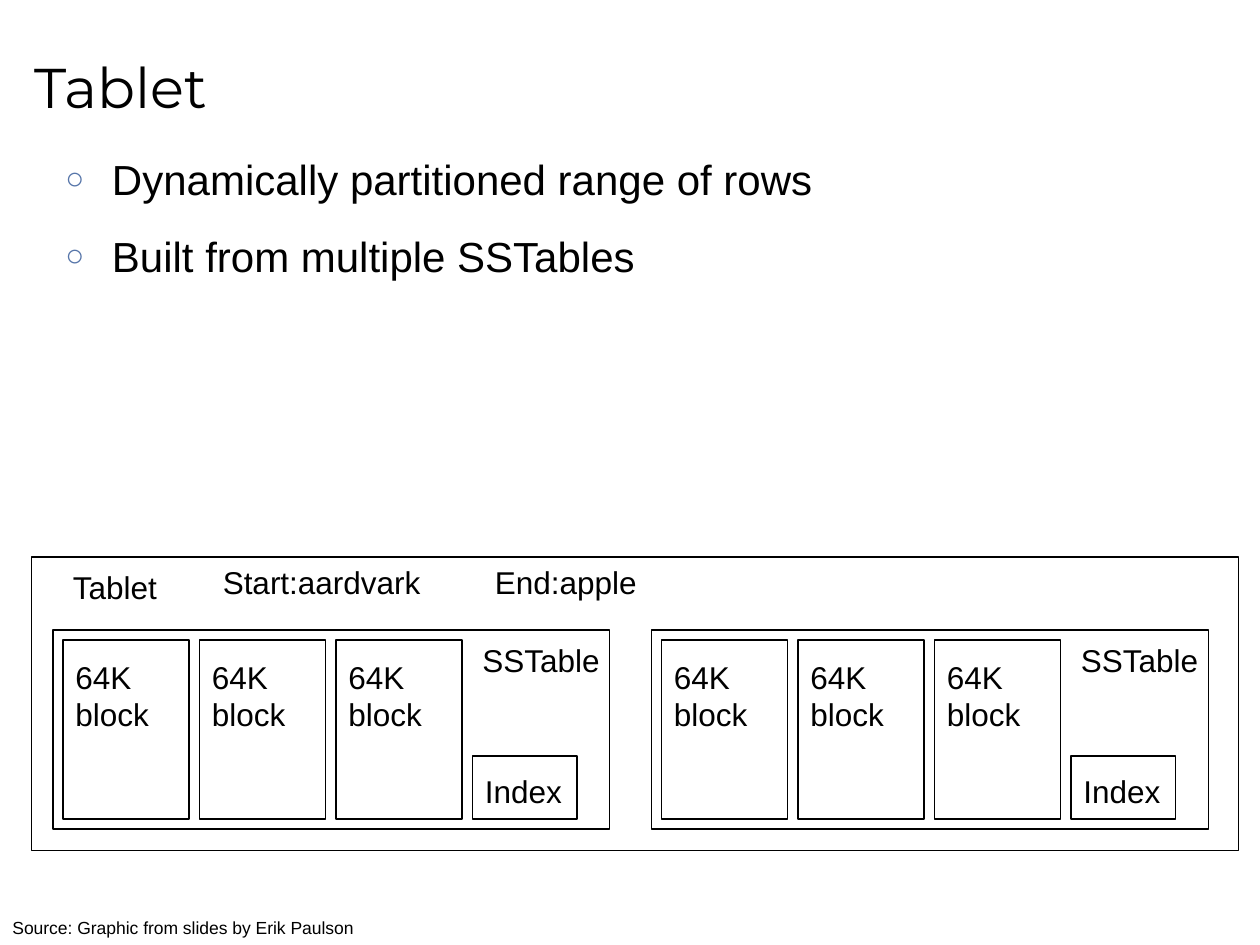
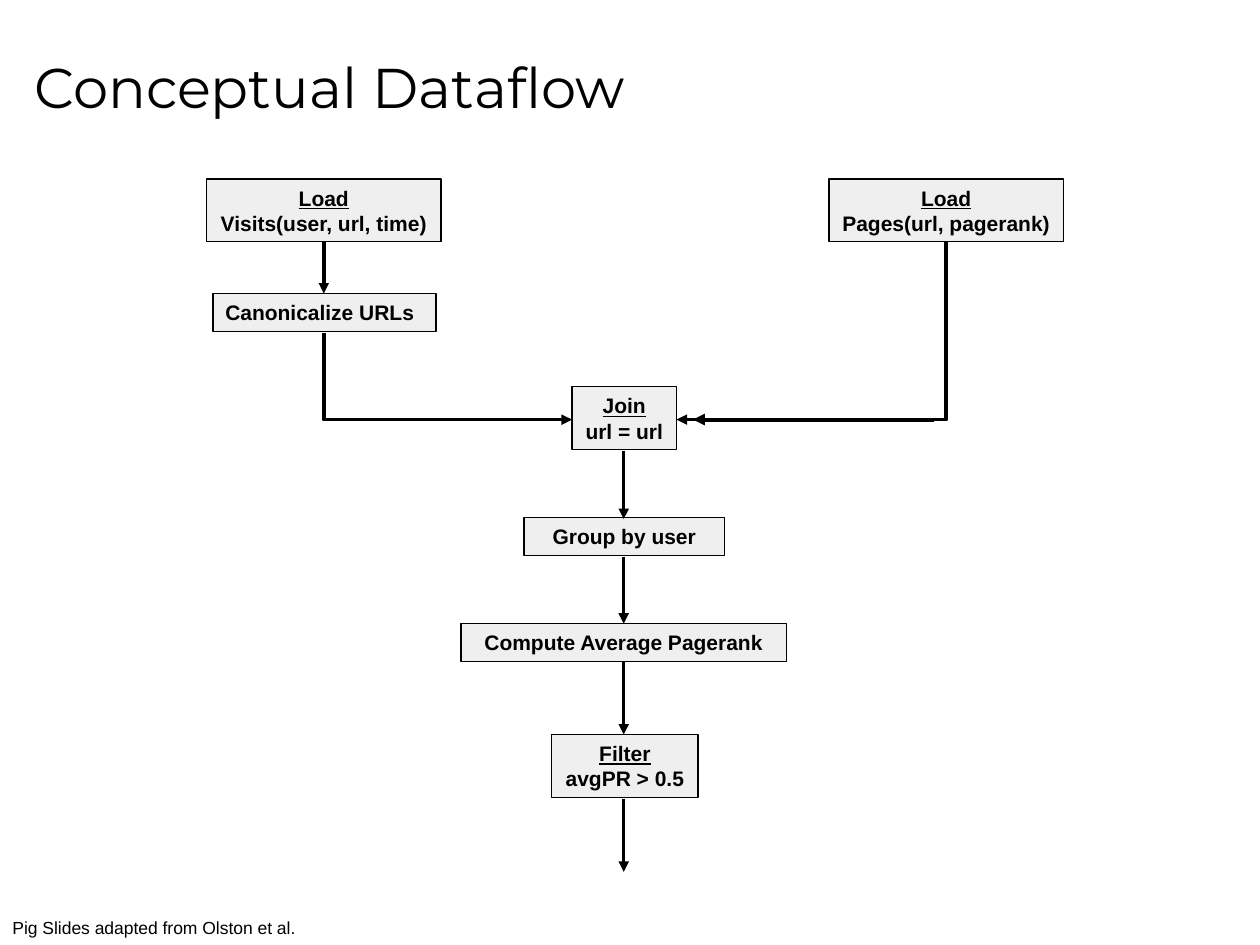
from lxml.etree import SubElement
from pptx import Presentation
from pptx.dml.color import RGBColor
from pptx.enum.shapes import MSO_CONNECTOR as Wire, MSO_SHAPE as Form
from pptx.enum.text import MSO_ANCHOR as Anchor, MSO_AUTO_SIZE as Fit, PP_ALIGN as Align
from pptx.oxml.ns import qn
from pptx.util import Inches, Pt

BLACK = "000000"
GREY = "EFEFEF"
BLUE = "5675A9"
BODY = "Arial"
HEAD = "Montserrat"
STEP = 13 / 12
AXIS = 4.95


def tint(code):
    return RGBColor.from_string(code)


def spot(*sides):
    return [Inches(side) for side in sides]


def write(para, text, size, face=BODY, bold=False, under=False):
    run = para.add_run()
    run.text = text
    font = run.font
    font.name, font.size = face, Pt(size)
    font.bold, font.underline = bold, under
    font.color.rgb = tint(BLACK)


def start(deck, title, source):
    slide = deck.slides.add_slide(deck.slide_layouts[5])
    head = slide.shapes.title
    head.left, head.top, head.width, head.height = spot(0.17, 0.12, 9.5, 1.12)
    frame = head.text_frame
    frame.auto_size = Fit.NONE
    frame.vertical_anchor = Anchor.MIDDLE
    para = frame.paragraphs[0]
    para.alignment = Align.LEFT
    write(para, title, 32, HEAD)
    label(slide, source, 0, 7.23, 3.75, 0.27, size=10)
    return slide


def label(slide, text, left, top, width, height=0.4, size=18, wrap=True):
    box = slide.shapes.add_textbox(*spot(left, top, width, height))
    frame = box.text_frame
    frame.word_wrap = wrap
    frame.auto_size = Fit.SHAPE_TO_FIT_TEXT
    write(frame.paragraphs[0], text, size)


def frame_box(slide, left, top, width, height, fill=None):
    box = slide.shapes.add_shape(Form.RECTANGLE, *spot(left, top, width, height))
    box.shadow.inherit = False
    if fill:
        box.fill.solid()
        box.fill.fore_color.rgb = tint(fill)
    else:
        box.fill.background()
    box.line.color.rgb = tint(BLACK)
    box.line.width = Pt(0.75)
    return box


def points(slide, lines):
    box = slide.shapes.add_textbox(*spot(0.42, 1.17, 9.25, 5.58))
    frame = box.text_frame
    frame.word_wrap = True
    for rank, line in enumerate(lines):
        para = frame.add_paragraph() if rank else frame.paragraphs[0]
        para.space_before = Pt(7.5 if rank else 0)
        para.space_after = Pt(7.5)
        props = para._p.get_or_add_pPr()
        props.set("marL", str(Inches(0.37)))
        props.set("indent", str(-Inches(0.37)))
        shade = SubElement(props, qn("a:buClr"))
        SubElement(shade, qn("a:srgbClr"), val=BLUE)
        SubElement(props, qn("a:buSzPct"), val="75000")
        SubElement(props, qn("a:buFont"), typeface=BODY)
        SubElement(props, qn("a:buChar"), char="○")
        write(para, line, 24)


def sstable(slide, left):
    top = 5.08
    for rank in range(3):
        edge = left + 0.08 + rank * STEP
        frame_box(slide, edge, top, 1, 1.42)
        label(slide, "64K block", edge, 5.17, 0.92, 0.7)
    edge = left + 0.08 + 3 * STEP
    frame_box(slide, edge, 6, 0.83, 0.5)
    label(slide, "Index", edge, 6.08, 0.81, wrap=False)
    label(slide, "SSTable", edge - 0.02, 5.04, 1.16, wrap=False)
    frame_box(slide, left, 5, 4.42, 1.58)


def node(slide, left, top, width, lines, align=Align.CENTER):
    pair = len(lines) > 1
    box = frame_box(slide, left, top, width, 0.5 if pair else 0.3, GREY)
    frame = box.text_frame
    frame.word_wrap = not pair
    frame.auto_size = Fit.SHAPE_TO_FIT_TEXT
    frame.vertical_anchor = Anchor.TOP
    for rank, line in enumerate(lines):
        para = frame.add_paragraph() if rank else frame.paragraphs[0]
        para.alignment = align
        write(para, line, 12, bold=True, under=pair and rank == 0)


def arrow(slide, ends, width=2.0, kind=Wire.STRAIGHT):
    wire = slide.shapes.add_connector(kind, *spot(*ends))
    wire.line.color.rgb = tint(BLACK)
    wire.line.width = Pt(width)
    props = wire._element.spPr
    SubElement(props.find(qn("a:ln")), qn("a:tailEnd"), type="triangle")
    SubElement(props, qn("a:effectLst"))
    return wire


def elbow(slide, x, y, end_x, end_y):
    wide, high = abs(end_y - y), abs(end_x - x)
    left, top = (x + end_x - wide) / 2, (y + end_y - high) / 2
    wire = arrow(slide, (left, top, left + wide, top + high), kind=Wire.ELBOW)
    props = wire._element.spPr
    props.find(qn("a:prstGeom")).set("prst", "bentConnector2")
    turn = props.find(qn("a:xfrm"))
    if end_x < x:
        turn.set("rot", "5400000")
    else:
        turn.set("rot", "16200000")
        turn.set("flipH", "1")


def tablet(deck):
    slide = start(deck, "Tablet", "Source: Graphic from slides by Erik Paulson")
    points(slide, ["Dynamically partitioned range of rows", "Built from multiple SSTables"])
    for left in (0.42, 5.17):
        sstable(slide, left)
    frame_box(slide, 0.25, 4.42, 9.58, 2.33)
    label(slide, "Tablet", 0.48, 4.46, 0.89, wrap=False)
    label(slide, "Start:aardvark", 1.67, 4.42, 2)
    label(slide, "End:apple", 3.83, 4.42, 1.5)


def dataflow(deck):
    slide = start(deck, "Conceptual Dataflow", "Pig Slides adapted from Olston et al.")
    arrow(slide, (7.41, 3.33, 5.5, 3.33), 2.25)
    node(slide, 1.69, 2.33, 1.77, ["Canonicalize URLs"], Align.LEFT)
    for left, top, width, lines in (
        (4.54, 3.07, 0.83, ["Join", "url = url"]),
        (4.16, 4.11, 1.59, ["Group by user"]),
        (3.66, 4.95, 2.58, ["Compute Average Pagerank"]),
        (4.38, 5.83, 1.16, ["Filter", "avgPR > 0.5"]),
        (6.58, 1.42, 1.86, ["Load", "Pages(url, pagerank)"]),
        (1.64, 1.42, 1.86, ["Load", "Visits(user, url, time)"]),
    ):
        node(slide, left, top, width, lines)
    elbow(slide, 7.51, 1.92, 5.37, 3.33)
    elbow(slide, 2.57, 2.64, 4.54, 3.33)
    arrow(slide, (2.57, 1.92, 2.57, 2.33))
    for top, low in ((3.58, 4.12), (4.42, 4.95), (5.25, 5.83), (6.34, 6.92)):
        arrow(slide, (AXIS, top, AXIS, low))


def main():
    deck = Presentation()
    deck.slide_width, deck.slide_height = spot(10, 7.5)
    tablet(deck)
    dataflow(deck)
    deck.save("out.pptx")


if __name__ == "__main__":
    main()
